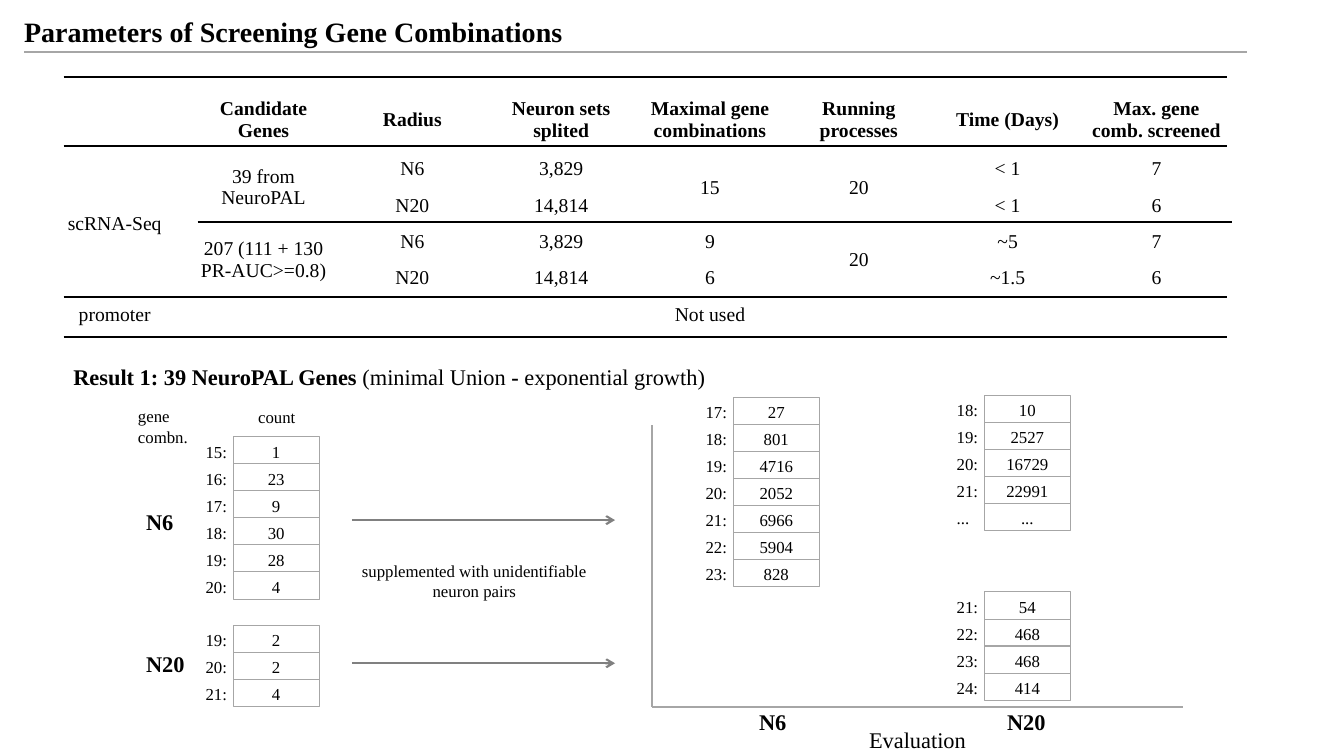
import pptx
import pptx.dml.color
import pptx.enum.shapes
import pptx.enum.text
import pptx.oxml
import pptx.oxml.ns
import pptx.util

Inches = pptx.util.Inches
Pt = pptx.util.Pt
RGBColor = pptx.dml.color.RGBColor
ALIGN = pptx.enum.text.PP_ALIGN
ANCHOR = pptx.enum.text.MSO_ANCHOR
FORMS = pptx.enum.shapes.MSO_SHAPE
STRAIGHT = pptx.enum.shapes.MSO_CONNECTOR.STRAIGHT

BLACK = RGBColor(0x00, 0x00, 0x00)
SILVER = RGBColor(0xA6, 0xA6, 0xA6)
GRAY = RGBColor(0x80, 0x80, 0x80)


class Page:
    """Holds the text style and the current slide."""

    def __init__(self, slide):
        self.shapes = slide.shapes
        self.style = {"name": "Times New Roman", "size": Pt(12), "bold": False}

    def label(self, frame, runs, align=ALIGN.LEFT, **style):
        para = frame.paragraphs[0]
        para.alignment = align
        for words, bold in runs:
            run = para.add_run()
            run.text = words
            for key, value in {**self.style, "bold": bold, **style}.items():
                setattr(run.font, key, value)
            run.font.color.rgb = BLACK

    def text(self, x, y, w, h, words, size=12, bold=False, align=ALIGN.LEFT):
        box = self.shapes.add_textbox(Inches(x), Inches(y), Inches(w), Inches(h))
        box.text_frame.word_wrap = True
        runs = [(words, bold)] if isinstance(words, str) else words
        self.label(box.text_frame, runs, align, size=Pt(size))

    def line(self, x1, y1, x2, y2, color=BLACK, arrow=False):
        line = self.shapes.add_connector(
            STRAIGHT, Inches(x1), Inches(y1), Inches(x2), Inches(y2))
        line.line.color.rgb = color
        line.line.width = Pt(1.5)
        props = line.element.spPr
        space = pptx.oxml.ns.nsdecls("a")
        if arrow:
            stroke = props.find(pptx.oxml.ns.qn("a:ln"))
            stroke.append(pptx.oxml.parse_xml(
                f'<a:tailEnd {space} type="arrow"/>'))
        props.append(pptx.oxml.parse_xml(f"<a:effectLst {space}/>"))

    def box(self, x, y, words):
        box = self.shapes.add_shape(
            FORMS.RECTANGLE, Inches(x), Inches(y), Inches(0.86), Inches(0.27))
        box.shadow.inherit = False
        box.fill.background()
        box.line.color.rgb = SILVER
        box.line.width = Pt(0.25)
        box.text_frame.vertical_anchor = ANCHOR.TOP
        self.label(box.text_frame, [(words, False)], ALIGN.CENTER)

    def stack(self, x, y, first, counts):
        for step, count in enumerate(counts):
            top = y + step * 0.268
            self.box(x, top, count)
            name = count if count == "..." else f"{first + step}:"
            self.text(x - 0.37, top, 0.58, 0.3, name)

    def table(self, x, y, w, rows, heights, merges):
        cols = len(rows[0])
        grid = self.shapes.add_table(
            len(rows), cols, Inches(x), Inches(y), Inches(w),
            Inches(sum(heights))).table
        form = {"vertical_anchor": ANCHOR.MIDDLE,
                "margin_left": Inches(0.08), "margin_right": Inches(0.08)}
        for col in grid.columns:
            col.width = Inches(w / cols)
        for r, row in enumerate(rows):
            grid.rows[r].height = Inches(heights[r])
            for c, words in enumerate(row):
                cell = grid.cell(r, c)
                cell.fill.background()
                for key, value in form.items():
                    setattr(cell, key, value)
                if words:
                    self.label(cell.text_frame, [(words, r == 0)],
                               ALIGN.CENTER, size=Pt(14))
        for r1, c1, r2, c2 in merges:
            grid.cell(r1, c1).merge(grid.cell(r2, c2))


def main():
    deck = pptx.Presentation()
    deck.slide_width = Inches(13.33)
    deck.slide_height = Inches(7.5)
    page = Page(deck.slides.add_slide(deck.slide_layouts[6]))

    # Title
    page.text(0.14, 0.09, 7.03, 0.44,
              "Parameters of Screening Gene Combinations", 20, True)
    page.line(0.24, 0.52, 12.37, 0.52, SILVER)

    # Parameter table with its rules
    rows = [
        ["", "Candidate Genes", "Radius", "Neuron sets splited",
         "Maximal gene combinations", "Running processes", "Time (Days)",
         "Max. gene comb. screened"],
        ["scRNA-Seq", "39 from NeuroPAL", "N6", "3,829", "15", "20", "< 1", "7"],
        ["", "", "N20", "14,814", "", "", "< 1", "6"],
        ["", "207 (111 + 130 PR-AUC>=0.8)", "N6", "3,829", "9", "20", "~5", "7"],
        ["", "", "N20", "14,814", "6", "", "~1.5", "6"],
        ["promoter", "Not used", "", "", "", "", "", ""],
    ]
    merges = [(1, 0, 4, 0), (1, 1, 2, 1), (3, 1, 4, 1), (1, 4, 2, 4),
              (1, 5, 2, 5), (3, 5, 4, 5), (5, 1, 5, 7)]
    page.table(0.4, 0.88, 11.81, rows, [0.62] + [0.36] * 5, merges)
    for y in (0.76, 1.45, 2.95, 3.34):
        page.line(0.63, y, 12.17, y)
    page.line(1.96, 2.2, 12.22, 2.2)

    # Result heading
    page.text(0.63, 3.55, 7.53, 0.41,
              [("Result 1: 39 NeuroPAL Genes", True), (" (minimal Union", False),
               (" - ", True), ("exponential growth)", False)], 16)

    # Counts before pairs are added
    page.text(1.27, 3.98, 0.95, 0.4, "gene combn.")
    page.text(2.22, 3.99, 1.05, 0.4, "count", align=ALIGN.CENTER)
    page.stack(2.31, 4.33, 15, ["1", "23", "9", "30", "28", "4"])
    page.stack(2.31, 6.2, 19, ["2", "2", "4"])

    # Arrows
    for y in (5.16, 6.58):
        page.line(3.49, y, 6.1, y, GRAY, arrow=True)
    page.text(3.39, 5.51, 2.63, 0.62,
              "supplemented with unidentifiable neuron pairs",
              align=ALIGN.CENTER)

    # Evaluation axes and counts
    page.line(6.47, 7.01, 11.73, 7.01, SILVER)
    page.line(6.47, 7.01, 6.47, 4.22, SILVER)
    page.stack(7.27, 3.94, 17,
               ["27", "801", "4716", "2052", "6966", "5904", "828"])
    page.stack(9.76, 3.92, 18, ["10", "2527", "16729", "22991", "..."])
    page.stack(9.76, 5.87, 21, ["54", "468", "468", "414"])

    # Radius names and axis title
    for x, y, name in [(1.35, 4.99, "N6"), (1.35, 6.4, "N20"),
                       (7.43, 6.98, "N6"), (9.89, 6.98, "N20")]:
        page.text(x, y, 0.72, 0.37, name, 16, True)
    page.text(8.46, 7.15, 1.28, 0.35, "Evaluation", 16, align=ALIGN.CENTER)

    deck.save("out.pptx")


if __name__ == "__main__":
    main()
